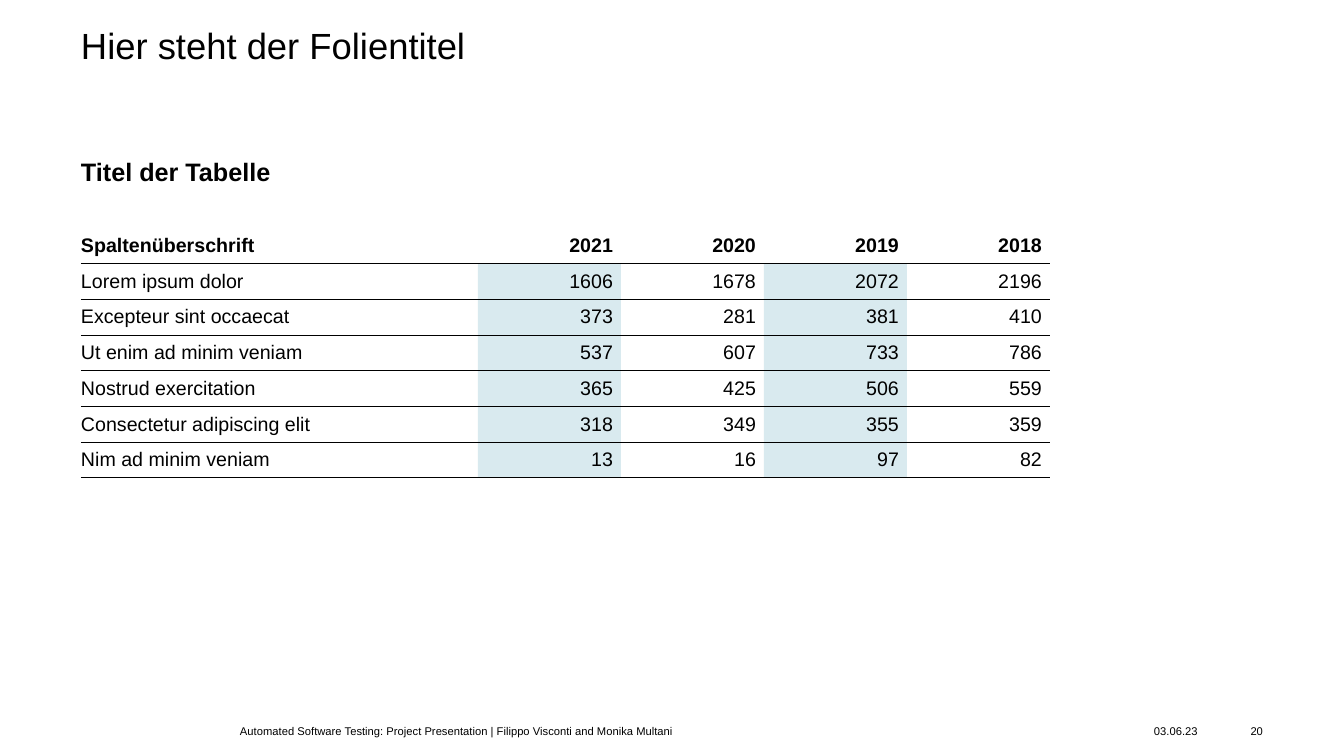
from dataclasses import dataclass

from lxml import etree
from pptx import Presentation
from pptx.dml.color import RGBColor
from pptx.enum.text import MSO_ANCHOR, PP_ALIGN
from pptx.oxml.ns import qn
from pptx.util import Emu, Pt

LEFT, RIGHT = PP_ALIGN.LEFT, PP_ALIGN.RIGHT
TOP, MIDDLE = MSO_ANCHOR.TOP, MSO_ANCHOR.MIDDLE
PX_PER_INCH = 100.8


@dataclass(frozen=True)
class Theme:
    font: str = "Arial"
    ink: str = "000000"
    paper: str = "FFFFFF"
    accent: str = "007894"
    accent_opacity: int = 15
    title: int = 26
    subtitle: int = 18
    table: int = 14
    footer: int = 8
    header_rule: float = 1
    row_rule: float = 0.5


@dataclass(frozen=True)
class Label:
    text: str
    x: int
    y: int
    w: int
    h: int
    size: int
    bold: bool = False
    align: PP_ALIGN = LEFT
    anchor: MSO_ANCHOR = TOP
    line_spacing: float = 1.0


THEME = Theme()
MARGIN, CONTENT_W = 81, 1182
FOOTER_Y, FOOTER_H = 719, 24
TABLE_Y, TABLE_H = 228, 250
COLUMN_WIDTHS = (397, 143, 143, 143, 143)
CELL_INSET = 8

LABELS = (
    Label("Hier steht der Folientitel", MARGIN, 28, CONTENT_W, 99, THEME.title,
          line_spacing=0.9),
    Label("Titel der Tabelle", MARGIN, 156, CONTENT_W, 43, THEME.subtitle, bold=True),
    Label("Automated Software Testing: Project Presentation | "
          "Filippo Visconti and Monika Multani",
          240, FOOTER_Y, 596, FOOTER_H, THEME.footer, anchor=MIDDLE),
    Label("03.06.23", 1154, FOOTER_Y, 68, FOOTER_H, THEME.footer, anchor=MIDDLE),
    Label("20", 1228, FOOTER_Y, 35, FOOTER_H, THEME.footer, align=RIGHT, anchor=MIDDLE),
)

ROWS = (
    ("Spaltenüberschrift", 2021, 2020, 2019, 2018),
    ("Lorem ipsum dolor", 1606, 1678, 2072, 2196),
    ("Excepteur sint occaecat", 373, 281, 381, 410),
    ("Ut enim ad minim veniam", 537, 607, 733, 786),
    ("Nostrud exercitation", 365, 425, 506, 559),
    ("Consectetur adipiscing elit", 318, 349, 355, 359),
    ("Nim ad minim veniam", 13, 16, 97, 82),
)


def px(n: int) -> Emu:
    return Emu(round(n * 914400 / PX_PER_INCH))


def write(p, text: str, size: int, bold: bool, align: PP_ALIGN) -> None:
    p.alignment = align
    r = p.add_run()
    r.text = text
    r.font.name = THEME.font
    r.font.size = Pt(size)
    r.font.bold = bold
    r.font.color.rgb = RGBColor.from_string(THEME.ink)


def add_label(slide, label: Label) -> None:
    box = slide.shapes.add_textbox(px(label.x), px(label.y), px(label.w), px(label.h))
    tf = box.text_frame
    tf.word_wrap = True
    tf.vertical_anchor = label.anchor
    tf.margin_left = tf.margin_right = tf.margin_top = tf.margin_bottom = 0
    p = tf.paragraphs[0]
    p.line_spacing = label.line_spacing
    write(p, label.text, label.size, label.bold, label.align)


def rule_below(row: int) -> float:
    """Width in points of the line under a row; none above the header."""
    if row < 0:
        return 0
    return THEME.header_rule if row == 0 else THEME.row_rule


def fill_cell(cell, row: int, col: int) -> None:
    """Leave the header open and tint every second column."""
    if row == 0:
        cell.fill.background()
        return
    tinted = col % 2 == 1
    cell.fill.solid()
    cell.fill.fore_color.rgb = RGBColor.from_string(
        THEME.accent if tinted else THEME.paper)
    if tinted:
        color = next(cell._tc.tcPr.iter(qn("a:srgbClr")))
        etree.SubElement(color, qn("a:alpha"), val=str(THEME.accent_opacity * 1000))


def set_borders(cell, row: int) -> None:
    widths = {"a:lnL": 0, "a:lnR": 0,
              "a:lnT": rule_below(row - 1), "a:lnB": rule_below(row)}
    tc_pr = cell._tc.get_or_add_tcPr()
    for i, (tag, width) in enumerate(widths.items()):
        ln = etree.Element(qn(tag), w=str(Pt(width)))
        if width:
            fill = etree.SubElement(ln, qn("a:solidFill"))
            etree.SubElement(fill, qn("a:srgbClr"), val=THEME.ink)
        else:
            etree.SubElement(ln, qn("a:noFill"))
        tc_pr.insert(i, ln)


def add_data_table(slide) -> None:
    frame = slide.shapes.add_table(len(ROWS), len(COLUMN_WIDTHS), px(MARGIN), px(TABLE_Y),
                                   px(sum(COLUMN_WIDTHS)), px(TABLE_H))
    table = frame.table
    table.first_row = table.horz_banding = False
    for column, width in zip(table.columns, COLUMN_WIDTHS):
        column.width = px(width)
    for row, values in enumerate(ROWS):
        for col, value in enumerate(values):
            cell = table.cell(row, col)
            cell.margin_left = cell.margin_top = cell.margin_bottom = 0
            cell.margin_right = px(CELL_INSET)
            cell.vertical_anchor = MIDDLE
            write(cell.text_frame.paragraphs[0], str(value), THEME.table,
                  bold=row == 0, align=RIGHT if col else LEFT)
            fill_cell(cell, row, col)
            set_borders(cell, row)


def main() -> None:
    prs = Presentation()
    prs.slide_width, prs.slide_height = px(1344), px(756)
    slide = prs.slides.add_slide(prs.slide_layouts[6])
    for label in LABELS:
        add_label(slide, label)
    add_data_table(slide)
    prs.save("out.pptx")


if __name__ == "__main__":
    main()
